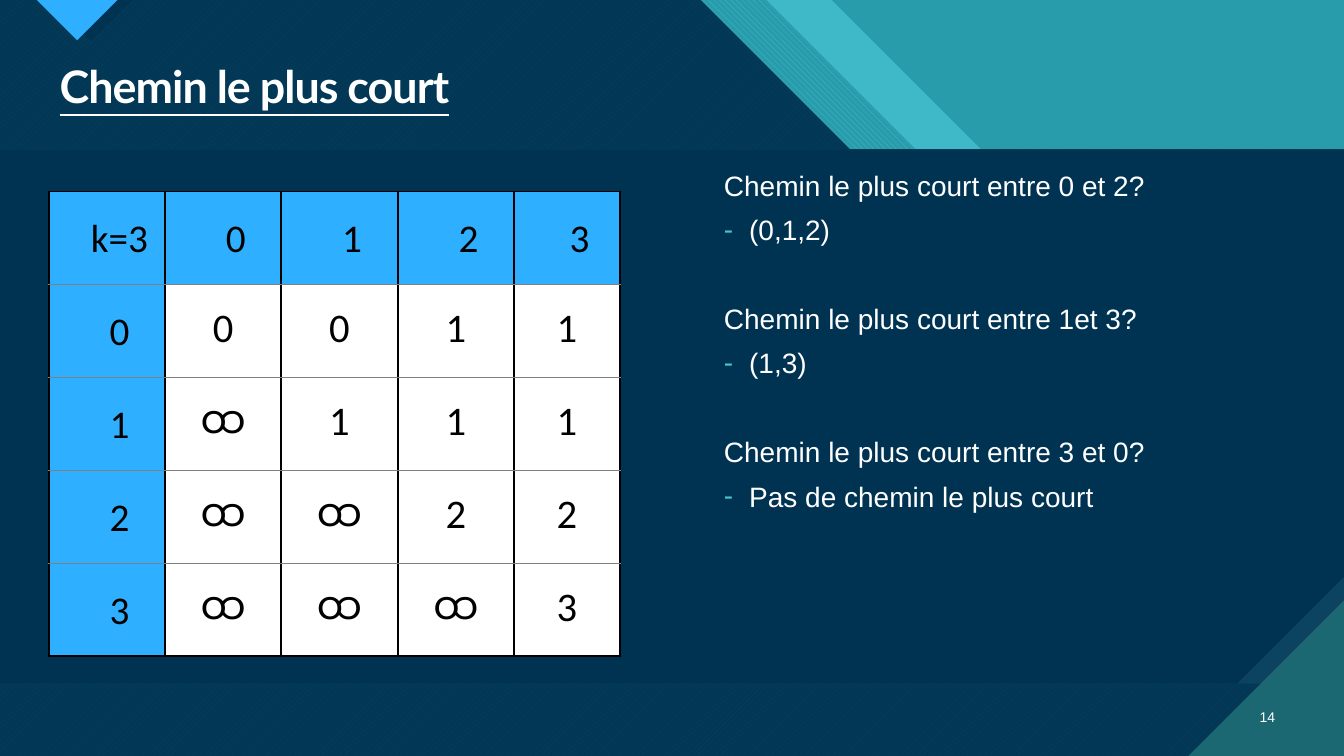
from dataclasses import dataclass
from lxml.etree import SubElement
from pptx import Presentation
from pptx.dml.color import RGBColor
from pptx.enum.dml import MSO_PATTERN as Pattern
from pptx.enum.shapes import MSO_SHAPE as Preset
from pptx.enum.text import MSO_ANCHOR as Anchor, PP_ALIGN as Align
from pptx.oxml.ns import qn
from pptx.util import Emu, Inches, Pt


@dataclass(frozen=True)
class Theme:
    navy: str = "003352"
    slate: str = "0C4360"
    teal: str = "299CAB"
    pine: str = "1B6872"
    aqua: str = "47C3D3"
    blue: str = "2FAFFF"
    white: str = "FFFFFF"
    black: str = "000000"
    grey: str = "808080"
    title_font: str = "Lato"
    body_font: str = "Arial"
    table_font: str = "Calibri"
    title_size: int = 32
    value_size: int = 29
    header_size: int = 28
    body_size: int = 20
    number_size: int = 10


class SlideBuilder:
    """Places elements on a grid of 16 columns by 9 rows of square cells."""

    def __init__(self, deck, theme):
        self.theme = theme
        self.unit = deck.slide_width / 16
        self.page = deck.slides.add_slide(deck.slide_layouts[5])
        self.solid(self.page.background.fill, theme.teal)

    def grid(self, *lengths):
        return [Emu(round(length * self.unit)) for length in lengths]

    def solid(self, fill, color, alpha=100):
        fill.solid()
        fill.fore_color.rgb = RGBColor.from_string(color)
        return fill

    def paint(self, shape, color, alpha=100, pattern=None, back=None):
        shape.shadow.inherit = False
        shape.line.fill.background()
        if pattern:
            shape.fill.patterned()
            shape.fill.pattern = pattern
            shape.fill.fore_color.rgb = RGBColor.from_string(color)
            shape.fill.back_color.rgb = RGBColor.from_string(back)
            return
        self.solid(shape.fill, color)
        if alpha < 100:
            swatch = next(shape.element.spPr.iter(qn("a:srgbClr")))
            SubElement(swatch, qn("a:alpha"), val=str(alpha * 1000))

    def polygon(self, points, color, **look):
        start, *others = [self.grid(*point) for point in points]
        outline = self.page.shapes.build_freeform(*start)
        outline.add_line_segments(others, close=True)
        self.paint(outline.convert_to_shape(), color, **look)

    def preset(self, kind, at, color, flip=None, adjust=None):
        shape = self.page.shapes.add_shape(kind, *self.grid(*at))
        self.paint(shape, color)
        if flip:
            shape.element.spPr.find(qn("a:xfrm")).set(flip, "1")
        if adjust is not None:
            shape.adjustments[0] = adjust

    def format(self, para, font, size, color, bold=None):
        for span in para.runs:
            span.font.name = font
            span.font.size = Pt(size)
            span.font.bold = bold
            span.font.color.rgb = RGBColor.from_string(color)

    def title(self, at, text):
        box = self.page.shapes.title
        box.left, box.top, box.width, box.height = self.grid(*at)
        box.element.getparent().append(box.element)  # bring to front
        box.text_frame.text = text
        box.text_frame.vertical_anchor = Anchor.TOP
        para = box.text_frame.paragraphs[0]
        para.alignment = Align.LEFT
        para.line_spacing = 0.9
        self.format(para, self.theme.title_font, self.theme.title_size, self.theme.white, True)
        para.runs[0].font.underline = True
        para.runs[0].font._element.set("spc", "-70")

    def text_box(self, at, text, size):
        box = self.page.shapes.add_textbox(*self.grid(*at))
        box.text_frame.word_wrap = True
        box.text_frame.text = text
        for para in box.text_frame.paragraphs:
            self.format(para, self.theme.body_font, size, self.theme.white)
        return box.text_frame

    def page_number(self, at, number):
        frame = self.text_box(at, number, self.theme.number_size)
        frame.vertical_anchor = Anchor.MIDDLE
        frame.paragraphs[0].alignment = Align.RIGHT
        frame.paragraphs[0].space_after = Pt(6)

    def questions(self, at, pairs):
        lines = [line for pair in pairs for line in pair]
        frame = self.text_box(at, "\n".join(lines), self.theme.body_size)
        for index, para in enumerate(frame.paragraphs):
            is_answer = index % 2 == 1
            para.line_spacing = 0.9
            para.space_before = Pt(10 if is_answer or index == 0 else 42)
            if is_answer:
                self.dash(para)

    def dash(self, para):
        props = para._p.get_or_add_pPr()
        props.set("marL", str(Inches(0.25)))
        props.set("indent", str(-Inches(0.25)))
        SubElement(SubElement(props, qn("a:buClr")), qn("a:srgbClr"), val=self.theme.aqua)
        SubElement(props, qn("a:buFont"), typeface=self.theme.body_font)
        SubElement(props, qn("a:buChar"), char="-")

    def matrix(self, at, rows, last_width):
        left, top, width, height = at
        count, last = len(rows[0]), len(rows) - 1
        table = self.page.shapes.add_table(len(rows), count, *self.grid(*at)).table
        table.first_row = table.horz_banding = False
        widths = [(width - last_width) / (count - 1)] * (count - 1) + [last_width]
        for column, size in zip(table.columns, self.grid(*widths)):
            column.width = size
        for r, values in enumerate(rows):
            table.rows[r].height = self.grid(height / len(rows))[0]
            for c, value in enumerate(values):
                cell = table.cell(r, c)
                self.matrix_cell(cell, value, r == 0 or c == 0)
                self.borders(cell, r == 0, r == last)

    def matrix_cell(self, cell, value, header):
        theme = self.theme
        cell.text = value
        self.solid(cell.fill, theme.blue if header else theme.white)
        cell.vertical_anchor = Anchor.BOTTOM if header else Anchor.MIDDLE
        margins = (0.27, 0.21, 0.02, 0.21) if header else (0.01, 0.01, 0.01, 0.05)
        (cell.margin_left, cell.margin_top,
         cell.margin_right, cell.margin_bottom) = map(Inches, margins)
        para = cell.text_frame.paragraphs[0]
        para.alignment = Align.CENTER
        size = theme.header_size if header else theme.value_size
        self.format(para, theme.table_font, size, theme.black)

    def borders(self, cell, is_top, is_bottom):
        props = cell._tc.get_or_add_tcPr()
        strong = {"lnL": True, "lnR": True, "lnT": is_top, "lnB": is_bottom}
        for place, (side, outer) in enumerate(strong.items()):
            line = SubElement(props, qn(f"a:{side}"), w=str(Pt(1.5 if outer else 0.5)))
            color = self.theme.black if outer else self.theme.grey
            SubElement(SubElement(line, qn("a:solidFill")), qn("a:srgbClr"), val=color)
            props.insert(place, line)


def main():
    deck = Presentation()
    deck.slide_width, deck.slide_height = Inches(13.333), Inches(7.5)
    theme = Theme()
    slide = SlideBuilder(deck, theme)

    # Backdrop: slanted header bands, then the dark field
    head = 1.78
    dark_end, hatch_end, light_end = 8.34, 9.12, 9.9

    def band(start, end):
        return [(start, 0), (end, 0), (end + head, head), (start + head, head)]

    slide.polygon(band(hatch_end, light_end), theme.aqua, alpha=74)
    slide.polygon(band(dark_end, hatch_end), theme.aqua,
                  pattern=Pattern.WIDE_DOWNWARD_DIAGONAL, back=theme.teal)
    field = [(0, 0), (dark_end, 0), (dark_end + head, head), (16, head), (16, 9), (0, 9)]
    slide.polygon(field, theme.aqua, pattern=Pattern.WIDE_UPWARD_DIAGONAL, back=theme.pine)
    slide.polygon(field, theme.navy, alpha=90)

    # Top marker, content panel and corner
    panel = (0, head, 16, 6.36)
    slide.preset(Preset.ISOSCELES_TRIANGLE, (0.58, 0, 1, 0.49), theme.navy, "flipV")
    slide.preset(Preset.ISOSCELES_TRIANGLE, (0.44, 0, 0.96, 0.48), theme.blue, "flipV")
    slide.preset(Preset.RECTANGLE, panel, theme.slate)
    slide.preset(Preset.SNIP_1_RECTANGLE, panel, theme.navy, "flipV", 0.2)
    slide.preset(Preset.RIGHT_TRIANGLE, (14.15, 7.15, 1.85, 1.85), theme.pine, "flipH")

    # Content
    slide.title((0.59, 0.71, 14.71, 0.71), "Chemin le plus court")
    slide.page_number((14.77, 8.29, 0.53, 0.48), "14")
    slide.questions((8.5, 1.99, 6.8, 6.12), [
        ("Chemin le plus court entre 0 et 2?", "(0,1,2)"),
        ("Chemin le plus court entre 1et 3?", "(1,3)"),
        ("Chemin le plus court entre 3 et 0?", "Pas de chemin le plus court"),
    ])
    slide.matrix((0.58, 2.28, 6.8, 5.53), [
        ["k=3", "0", "1", "2", "3"],
        ["0", "0", "0", "1", "1"],
        ["1", "ထ", "1", "1", "1"],
        ["2", "ထ", "ထ", "2", "2"],
        ["3", "ထ", "ထ", "ထ", "3"],
    ], last_width=1.26)
    deck.save("out.pptx")


if __name__ == "__main__":
    main()
